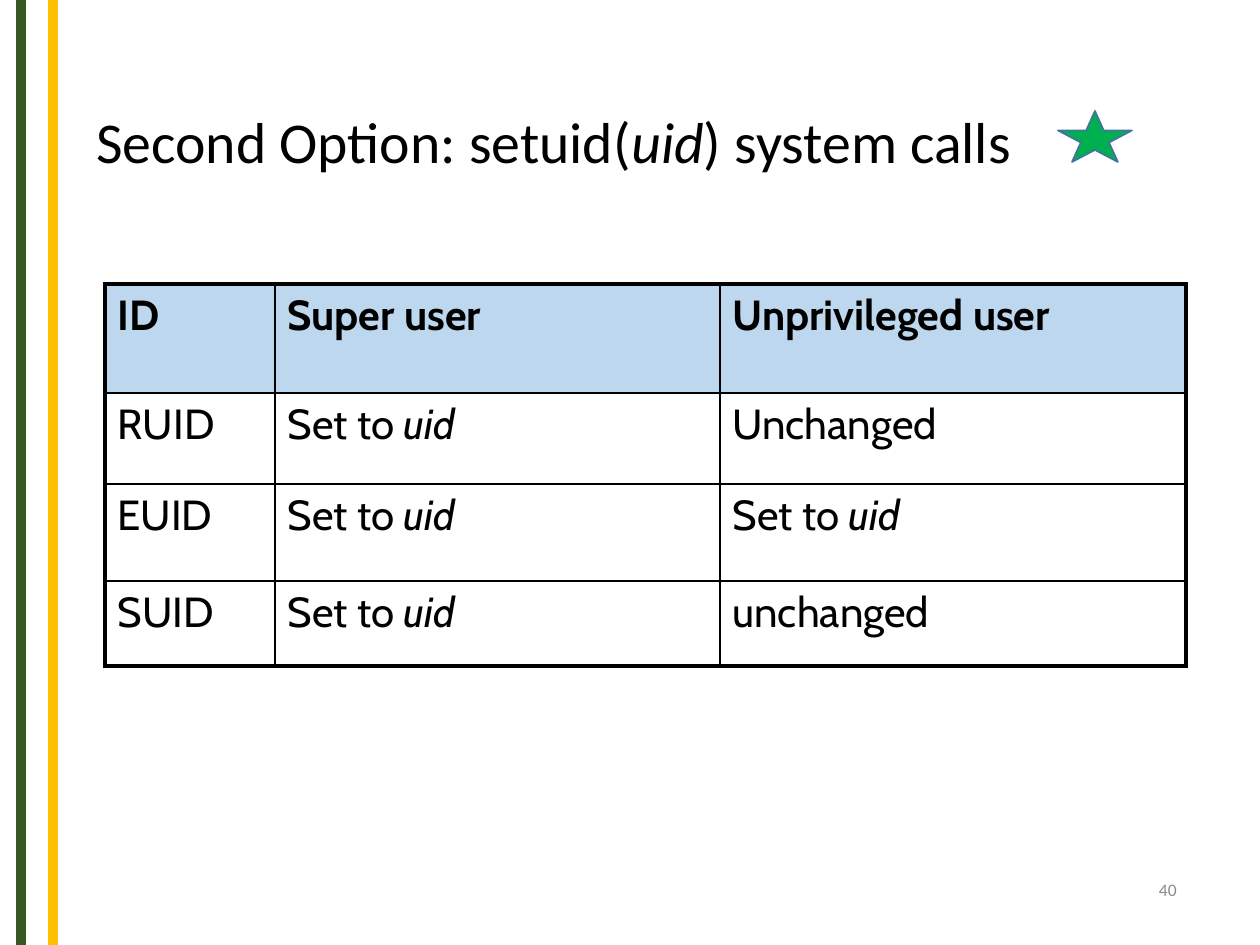
from lxml.etree import SubElement
from pptx import Presentation
from pptx.dml.color import RGBColor
from pptx.enum.shapes import MSO_CONNECTOR, MSO_SHAPE
from pptx.enum.text import MSO_ANCHOR, PP_ALIGN
from pptx.oxml.ns import qn
from pptx.util import Pt

EMU_PER_PX = 914400 / 126
SLIDE_W, SLIDE_H = 1260, 945
BLACK = "000000"

COL_WIDTHS = [170, 445, 466]
ROW_HEIGHTS = [109, 91, 97, 85]
SET_TO_UID = [("Set to ", False), ("uid", True)]
ID_RULES = [
    [[("ID", False)], [("Super user", False)], [("Unprivileged user", False)]],
    [[("RUID", False)], SET_TO_UID, [("Unchanged", False)]],
    [[("EUID", False)], SET_TO_UID, SET_TO_UID],
    [[("SUID", False)], SET_TO_UID, [("unchanged", False)]],
]


def px(length):
    return round(length * EMU_PER_PX)


def box(*lengths):
    return [px(length) for length in lengths]


def color(code):
    return RGBColor.from_string(code)


def add_runs(paragraph, runs, font, size, ink, bold=False):
    """Add (text, italic) pairs in one style."""
    for text, italic in runs:
        run = paragraph.add_run()
        run.text = text
        run.font.name, run.font.size = font, Pt(size)
        run.font.bold, run.font.italic = bold, italic
        run.font.color.rgb = color(ink)


def add_text(slide, place, runs, size, ink, align=PP_ALIGN.LEFT, spacing=1.0):
    frame = slide.shapes.add_textbox(*box(*place)).text_frame
    frame.word_wrap = True
    frame.vertical_anchor = MSO_ANCHOR.MIDDLE
    paragraph = frame.paragraphs[0]
    paragraph.alignment, paragraph.line_spacing = align, spacing
    add_runs(paragraph, runs, "Calibri", size, ink)


def add_stripe(slide, x, ink):
    stripe = slide.shapes.add_connector(
        MSO_CONNECTOR.STRAIGHT, *box(x, 0, x, SLIDE_H))
    stripe.line.color.rgb, stripe.line.width = color(ink), Pt(6)
    SubElement(stripe._element.spPr, qn("a:effectLst"))


def add_star(slide, place, fill, outline):
    star = slide.shapes.add_shape(MSO_SHAPE.STAR_5_POINT, *box(*place))
    star.shadow.inherit = False
    star.fill.solid()
    star.fill.fore_color.rgb = color(fill)
    star.line.color.rgb, star.line.width = color(outline), Pt(1)


def set_borders(cell, outer_edges):
    """Draw thick lines on the table's outer edges, thin ones elsewhere."""
    props = cell._tc.get_or_add_tcPr()
    for index, (edge, is_outer) in enumerate(outer_edges.items()):
        line = props.makeelement(
            qn(f"a:{edge}"), {"w": str(Pt(2.25 if is_outer else 1))})
        fill = SubElement(line, qn("a:solidFill"))
        SubElement(fill, qn("a:srgbClr"), val=BLACK)
        props.insert(index, line)  # borders come before the cell fill


def add_id_table(slide, left, top):
    rows, cols = len(ROW_HEIGHTS), len(COL_WIDTHS)
    place = box(left, top, sum(COL_WIDTHS), sum(ROW_HEIGHTS))
    table = slide.shapes.add_table(rows, cols, *place).table
    table.horz_banding = False
    for column, width in zip(table.columns, COL_WIDTHS):
        column.width = px(width)
    for r, (row, height) in enumerate(zip(table.rows, ROW_HEIGHTS)):
        row.height = px(height)
        is_header = r == 0
        for c, cell in enumerate(row.cells):
            cell.fill.solid()
            cell.fill.fore_color.rgb = color("BDD7EE" if is_header else "FFFFFF")
            paragraph = cell.text_frame.paragraphs[0]
            paragraph.space_before = Pt(4.8)
            add_runs(paragraph, ID_RULES[r][c], "Cabin", 24, BLACK, is_header)
            set_borders(cell, {"lnL": c == 0, "lnR": c == cols - 1,
                               "lnT": is_header, "lnB": r == rows - 1})


def main():
    deck = Presentation()
    deck.slide_width, deck.slide_height = box(SLIDE_W, SLIDE_H)
    slide = deck.slides.add_slide(deck.slide_layouts[6])

    # Side stripes
    add_stripe(slide, 21, "385723")
    add_stripe(slide, 53, "FFC000")

    # Title
    title = [("Second Option: setuid(", False), ("uid", True),
             (") system calls", False)]
    add_text(slide, (84, 82, 1071, 126), title, 33, BLACK, spacing=0.9)

    # Effect of setuid on each ID
    add_id_table(slide, 105, 284)

    # Slide number and star
    add_text(slide, (927, 858, 262, 63), [("40", False)], 10, "8C8C8C",
             align=PP_ALIGN.RIGHT)
    add_star(slide, (1058, 111, 74, 51), "00B050", "43739E")

    deck.save("out.pptx")


if __name__ == "__main__":
    main()
